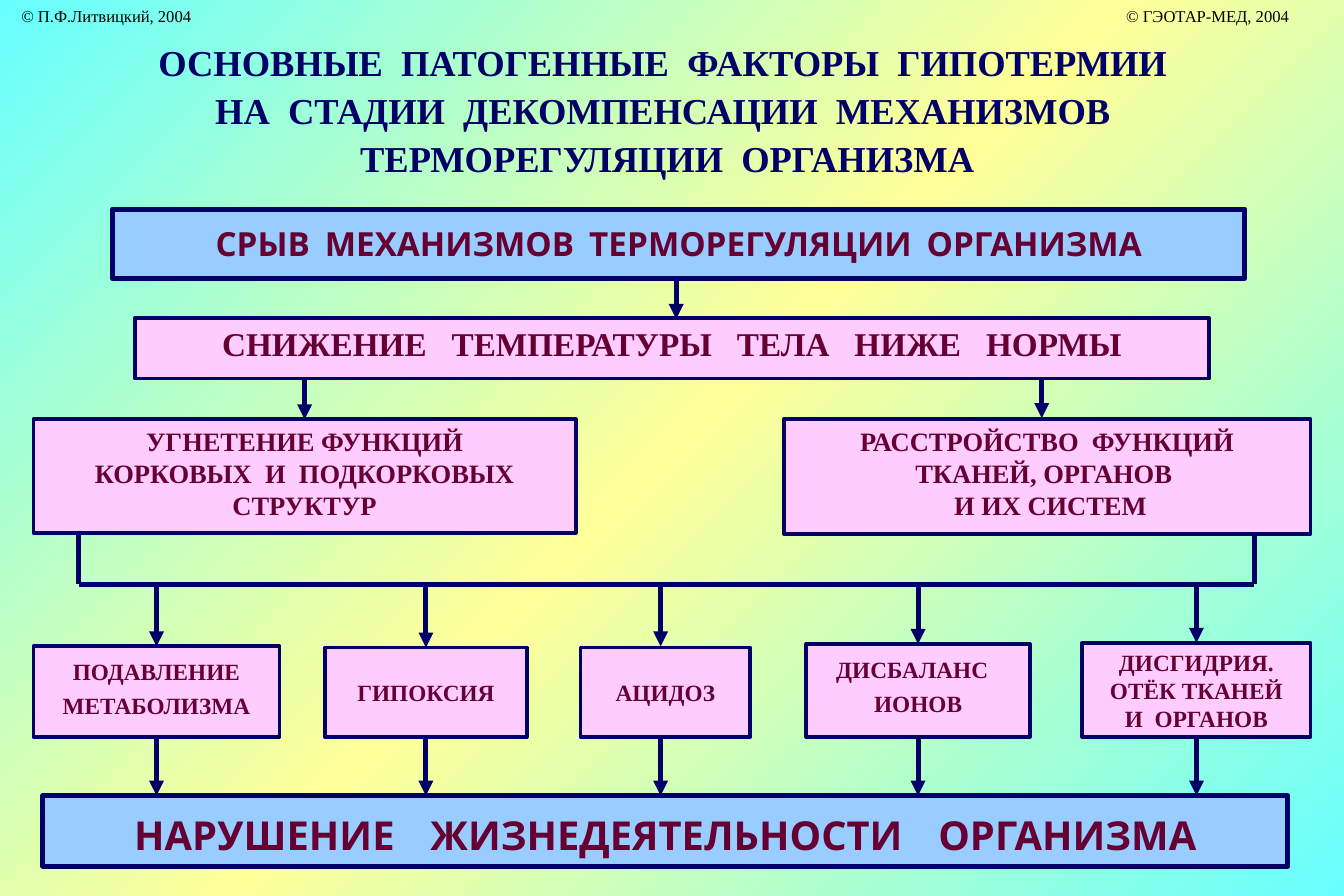
from copy import deepcopy
from dataclasses import dataclass
from typing import Optional

from lxml.etree import SubElement
from pptx import Presentation
from pptx.dml.color import RGBColor
from pptx.enum.shapes import MSO_CONNECTOR, MSO_SHAPE
from pptx.enum.text import MSO_ANCHOR, PP_ALIGN
from pptx.oxml.ns import qn
from pptx.util import Inches, Pt

COLORS = {
    "cyan": "66FFFF",
    "yellow": "FFFF99",
    "pink": "FFCCFF",
    "blue": "99CCFF",
    "navy": "000066",
    "plum": "660033",
    "black": "000000",
}
SERIF = "Times New Roman"
SANS = "Cabin"
BUS_Y = 4.89
BUS_LEFT, BUS_RIGHT = 0.66, 10.5
FACTOR_BOTTOM = 6.17
RESULT_TOP = 6.66
JOIN_TOLERANCE = 0.025


@dataclass
class Box:
    text: str
    left: float
    top: float
    width: float
    height: float
    size: int
    spacing: float = 1.0
    fill: str = "pink"
    line: float = 2.25
    font: str = SERIF
    arrow_x: float = 0

    def axis(self) -> float:
        middle = self.left + self.width / 2
        return middle if self.is_centred() else self.arrow_x

    def is_centred(self) -> bool:
        return abs(self.left + self.width / 2 - self.arrow_x) <= JOIN_TOLERANCE


BREAKDOWN = Box("СРЫВ  МЕХАНИЗМОВ  ТЕРМОРЕГУЛЯЦИИ  ОРГАНИЗМА",
                0.94, 1.75, 9.48, 0.58, 20, 1.2, "blue", 3, SANS)
COOLING = Box("СНИЖЕНИЕ   ТЕМПЕРАТУРЫ   ТЕЛА   НИЖЕ   НОРМЫ",
              1.13, 2.66, 8.99, 0.51, 20)
RESULT = Box("НАРУШЕНИЕ    ЖИЗНЕДЕЯТЕЛЬНОСТИ    ОРГАНИЗМА",
             0.36, RESULT_TOP, 10.42, 0.59, 24, 1.2, "blue", 3, SANS)
DISORDERS = [
    Box("УГНЕТЕНИЕ ФУНКЦИЙ\nКОРКОВЫХ  И  ПОДКОРКОВЫХ\nСТРУКТУР",
        0.28, 3.51, 4.54, 0.95, 16, arrow_x=2.53),
    Box("РАССТРОЙСТВО  ФУНКЦИЙ\nТКАНЕЙ, ОРГАНОВ \n И ИХ СИСТЕМ",
        6.56, 3.51, 4.41, 0.96, 16, arrow_x=8.72),
]
FACTORS = [
    Box("ПОДАВЛЕНИЕ\nМЕТАБОЛИЗМА", 0.28, 5.41, 2.06, 0.76, 14, 1.2, arrow_x=1.31),
    Box("ГИПОКСИЯ", 2.72, 5.42, 1.69, 0.75, 14, 1.9, arrow_x=3.56),
    Box("АЦИДОЗ", 4.86, 5.42, 1.42, 0.75, 14, 1.9, arrow_x=5.53),
    Box("ДИСБАЛАНС  \nИОНОВ", 6.75, 5.39, 1.87, 0.78, 14, 1.2, arrow_x=7.69),
    Box("ДИСГИДРИЯ.\nОТЁК ТКАНЕЙ\nИ  ОРГАНОВ", 9.06, 5.38, 1.91, 0.79, 14, arrow_x=10.03),
]


def rgb(name: str) -> RGBColor:
    return RGBColor.from_string(COLORS[name])


def write_text(sp, text: str, *, size: int, color: str = "plum", font: str = SERIF,
               bold: bool = True, align=PP_ALIGN.CENTER, spacing: float = 1.0,
               right_tab: Optional[float] = None) -> None:
    tf = sp.text_frame
    tf.word_wrap = True
    tf.vertical_anchor = MSO_ANCHOR.TOP
    for i, line in enumerate(text.split("\n")):
        p = tf.add_paragraph() if i else tf.paragraphs[0]
        p.alignment = align
        p.line_spacing = spacing
        if right_tab is not None:
            tabs = SubElement(p._p.get_or_add_pPr(), qn("a:tabLst"))
            SubElement(tabs, qn("a:tab"), pos=str(Inches(right_tab)), algn="r")
        r = p.add_run()
        r.text = line
        r.font.size = Pt(size)
        r.font.name = font
        r.font.bold = bold
        r.font.color.rgb = rgb(color)


def add_label(s, left: float, top: float, width: float, height: float):
    return s.shapes.add_textbox(Inches(left), Inches(top), Inches(width), Inches(height))


def add_box(s, box: Box):
    sp = s.shapes.add_shape(MSO_SHAPE.RECTANGLE, Inches(box.left), Inches(box.top),
                            Inches(box.width), Inches(box.height))
    sp.shadow.inherit = False
    sp.fill.solid()
    sp.fill.fore_color.rgb = rgb(box.fill)
    sp.line.color.rgb = rgb("navy")
    sp.line.width = Pt(box.line)
    write_text(sp, box.text, size=box.size, font=box.font, spacing=box.spacing)
    return sp


def add_line(s, x1: float, y1: float, x2: float, y2: float, arrow: bool = False):
    cx = s.shapes.add_connector(MSO_CONNECTOR.STRAIGHT, Inches(x1), Inches(y1),
                                Inches(x2), Inches(y2))
    cx.line.color.rgb = rgb("navy")
    cx.line.width = Pt(3)
    if arrow:
        SubElement(cx.line._get_or_add_ln(), qn("a:tailEnd"), type="triangle")
    SubElement(cx._element.spPr, qn("a:effectLst"))
    return cx


def add_arrow_to(s, box: Box, sp, start_y: float) -> None:
    cx = add_line(s, box.axis(), start_y, box.axis(), box.top - 0.01, arrow=True)
    if box.is_centred():
        cx.end_connect(sp, 0)


def set_background(s) -> None:
    fill = s.background.fill
    fill.gradient()
    fill.gradient_angle = 315
    stops = s._element.find(".//" + qn("a:gsLst"))
    stops.append(deepcopy(stops[0]))
    for stop, position, color in zip(fill.gradient_stops, (0, 0.5, 1),
                                     ("cyan", "yellow", "cyan")):
        stop.position = position
        stop.color.rgb = rgb(color)


def main() -> None:
    prs = Presentation()
    prs.slide_width, prs.slide_height = Inches(11.25), Inches(7.5)
    s = prs.slides.add_slide(prs.slide_layouts[6])
    set_background(s)

    write_text(add_label(s, 0.08, 0, 11.17, 0.27),
               "© П.Ф.Литвицкий, 2004\t© ГЭОТАР-МЕД, 2004", size=10, color="black",
               bold=False, align=PP_ALIGN.LEFT, right_tab=10.61)
    write_text(add_label(s, 0.38, 0.25, 10.41, 1.31),
               "ОСНОВНЫЕ  ПАТОГЕННЫЕ  ФАКТОРЫ  ГИПОТЕРМИИ \n"
               "НА  СТАДИИ  ДЕКОМПЕНСАЦИИ  МЕХАНИЗМОВ  ТЕРМОРЕГУЛЯЦИИ  ОРГАНИЗМА",
               size=22, color="navy", spacing=1.1)

    for box in (BREAKDOWN, COOLING, RESULT):
        add_box(s, box)
    add_line(s, 5.66, 2.33, 5.66, 2.67, arrow=True)

    for box in DISORDERS:
        add_arrow_to(s, box, add_box(s, box), 3.17)

    add_line(s, BUS_LEFT, BUS_Y, BUS_RIGHT, BUS_Y)
    for x in (BUS_LEFT, BUS_RIGHT):
        add_line(s, x, BUS_Y, x, 4.47)

    for box in FACTORS:
        sp = add_box(s, box)
        add_arrow_to(s, box, sp, BUS_Y)
        cx = add_line(s, box.axis(), FACTOR_BOTTOM, box.axis(), RESULT_TOP, arrow=True)
        if box.is_centred():
            cx.begin_connect(sp, 2)

    prs.save("out.pptx")


if __name__ == "__main__":
    main()
